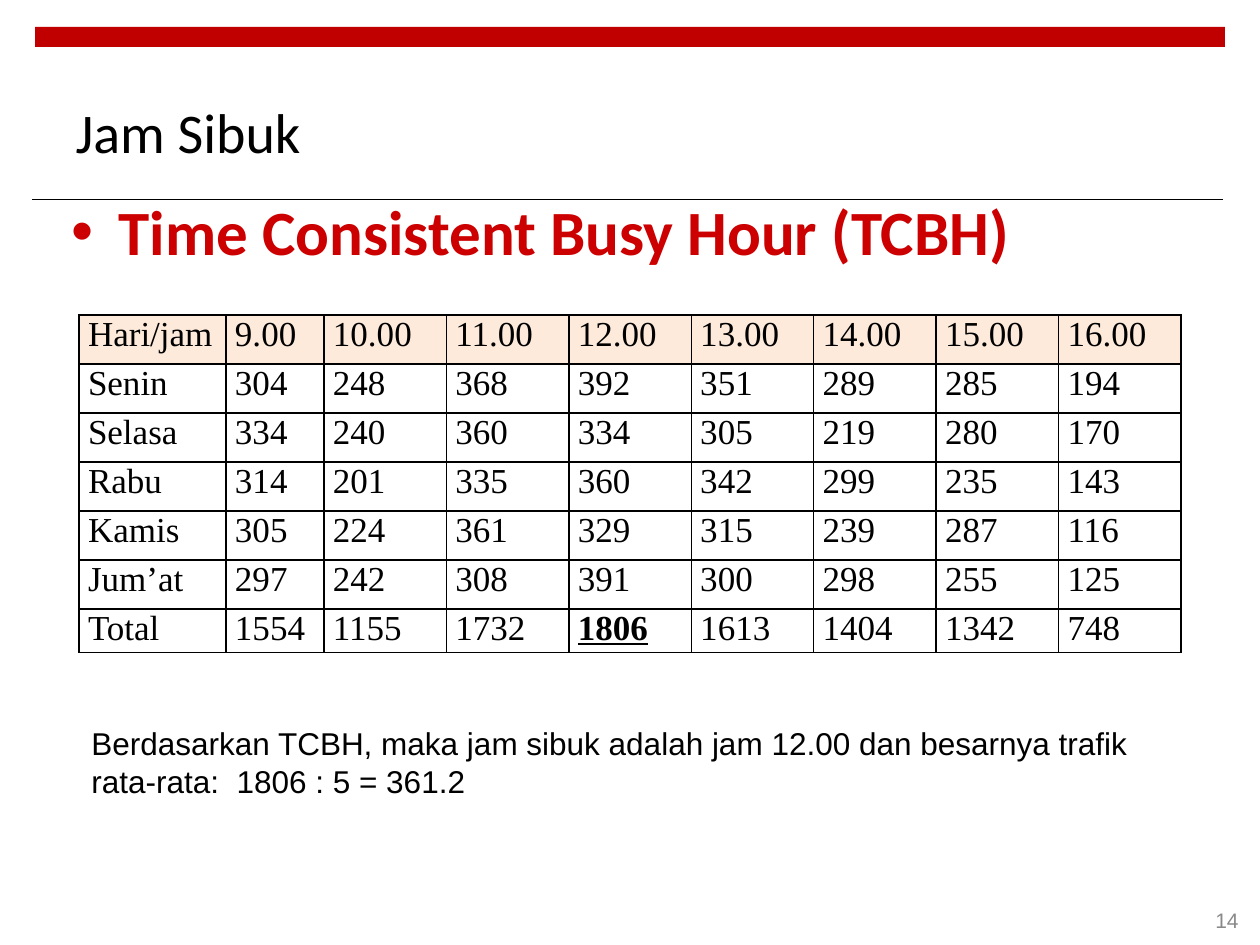
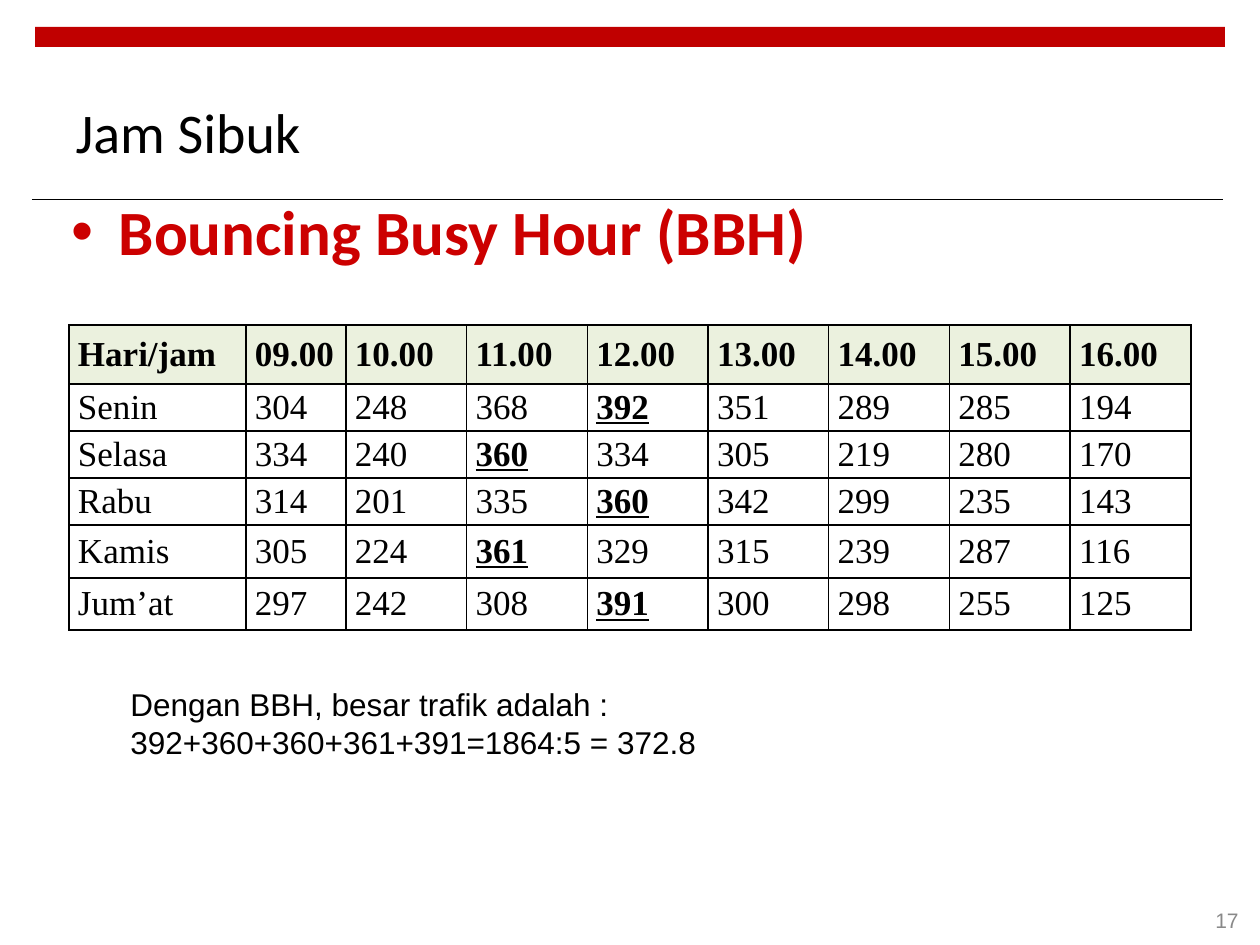
from lxml.etree import SubElement
from pptx import Presentation
from pptx.dml.color import RGBColor
from pptx.enum.shapes import MSO_CONNECTOR as Link, MSO_SHAPE as Form
from pptx.enum.text import MSO_ANCHOR as Anchor, MSO_AUTO_SIZE as Fit, PP_ALIGN as Align
from pptx.oxml.ns import qn
from pptx.util import Pt

PX = 914400 / 126
BLACK = RGBColor(0, 0, 0)
BAND = RGBColor(0xC0, 0, 0)
RED = RGBColor(0xCC, 0, 0)
GREY = RGBColor(0x89, 0x89, 0x89)
PEACH = RGBColor(0xFD, 0xEA, 0xDA)
GREEN = RGBColor(0xEB, 0xF1, 0xDE)

HOURS = ["10.00", "11.00", "12.00", "13.00", "14.00", "15.00", "16.00"]
DAYS = [
    ("Senin", 304, 248, 368, 392, 351, 289, 285, 194),
    ("Selasa", 334, 240, 360, 334, 305, 219, 280, 170),
    ("Rabu", 314, 201, 335, 360, 342, 299, 235, 143),
    ("Kamis", 305, 224, 361, 329, 315, 239, 287, 116),
    ("Jum’at", 297, 242, 308, 391, 300, 298, 255, 125),
]
TOTAL = ("Total", 1554, 1155, 1732, 1806, 1613, 1404, 1342, 748)

# "peaks" lists the rows whose largest value is stressed
SLIDES = [
    dict(
        head="Time Consistent Busy Hour (TCBH)", num=14,
        rows=[("Hari/jam", "9.00", *HOURS), *DAYS, TOTAL], peaks=[6],
        at=(79, 315), width=1102, first=(147, 98), highs=[49] * 6 + [44],
        tint=PEACH, bold=False, anchor=Anchor.TOP,
        note=["Berdasarkan TCBH, maka jam sibuk adalah jam 12.00 dan "
              "besarnya trafik rata-rata:  1806 : 5 = 361.2"],
        note_box=(79, 718, 1102, 89),
    ),
    dict(
        head="Bouncing Busy Hour (BBH)", num=17,
        rows=[("Hari/jam", "09.00", *HOURS), *DAYS], peaks=[1, 2, 3, 4, 5],
        at=(69, 325), width=1122, first=(177, 100), highs=[59, 47, 47, 47, 53, 52],
        tint=GREEN, bold=True, anchor=Anchor.MIDDLE,
        note=["Dengan BBH, besar trafik adalah :",
              "392+360+360+361+391=1864:5 = 372.8"],
        note_box=(118, 679, 630, 89),
    ),
]


def emu(*nums):
    return [round(n * PX) for n in nums]


def style(par, name, size, color, bold=False, align=Align.LEFT):
    par.alignment = align
    font = par.font
    font.name, font.size, font.bold = name, Pt(size), bold
    font.color.rgb = color


def fill_box(shape, lines, anchor, *look, **more):
    frame = shape.text_frame
    frame.word_wrap = True
    frame.auto_size = Fit.NONE
    frame.vertical_anchor = anchor
    frame.text = "\n".join(lines)
    for par in frame.paragraphs:
        style(par, *look, **more)


def place(shape, *box):
    shape.left, shape.top, shape.width, shape.height = emu(*box)


def add_frame(slide, num):
    """Add the red band, the rule under the title and the page number."""
    band = slide.shapes.add_shape(Form.RECTANGLE, *emu(35, 27, 1190, 20))
    band.shadow.inherit = False
    band.fill.solid()
    band.fill.fore_color.rgb = BAND
    band.line.fill.background()
    rule = slide.shapes.add_connector(Link.STRAIGHT, *emu(32, 200, 1223, 200))
    rule.line.color.rgb = BLACK
    rule.line.width = Pt(0.6)
    SubElement(rule._element.spPr, qn("a:effectLst"))
    page = slide.shapes.add_textbox(*emu(958, 895, 293, 50))
    fill_box(page, [str(num)], Anchor.MIDDLE, "Arial", 12, GREY, align=Align.RIGHT)


def add_heads(slide, head):
    title, body = slide.placeholders
    place(title, 63, 66, 839, 130)
    fill_box(title, ["Jam Sibuk"], Anchor.MIDDLE, "Calibri", 32, BLACK)
    place(body, 59, 186, 1134, 95)
    par = body.text_frame.paragraphs[0]
    props = par._p.get_or_add_pPr()
    hang = emu(48)[0]
    props.set("marL", str(hang))
    props.set("indent", str(-hang))
    SubElement(props, qn("a:buNone"))
    par.space_before = Pt(0)
    fill_box(body, [head], Anchor.TOP, "Calibri", 36, RED, bold=True)


def add_border(cell):
    props = cell._tc.get_or_add_tcPr()
    for side in ("lnL", "lnR", "lnT", "lnB"):
        line = SubElement(props, qn("a:" + side), w=str(Pt(1)))
        paint = SubElement(line, qn("a:solidFill"))
        SubElement(paint, qn("a:srgbClr"), val=str(BLACK))


def add_grid(slide, data):
    rows, highs = data["rows"], data["highs"]
    cols = len(rows[0])
    rest = (data["width"] - sum(data["first"])) / (cols - 2)
    wides = [*data["first"]] + [rest] * (cols - 2)
    box = emu(*data["at"], data["width"], sum(highs))
    table = slide.shapes.add_table(len(rows), cols, *box).table
    table.first_row = table.horz_banding = False
    for col, wide in zip(table.columns, emu(*wides)):
        col.width = wide
    for row, high in zip(table.rows, emu(*highs)):
        row.height = high
    for r, row in enumerate(rows):
        top = max(row[1:]) if r in data["peaks"] else None
        for c, value in enumerate(row):
            cell = table.cell(r, c)
            cell.margin_left, cell.margin_right = emu(9, 9)
            cell.margin_top = cell.margin_bottom = 0
            cell.vertical_anchor = data["anchor"]
            add_border(cell)
            if r == 0:
                cell.fill.solid()
                cell.fill.fore_color.rgb = data["tint"]
            else:
                cell.fill.background()
            cell.text = str(value)
            par = cell.text_frame.paragraphs[0]
            peak = value == top
            bold = peak or (r == 0 and data["bold"])
            style(par, "Times New Roman", 20, BLACK, bold, Align.JUSTIFY)
            par.font.underline = peak


def main():
    deck = Presentation()
    deck.slide_width, deck.slide_height = emu(1260, 945)
    for data in SLIDES:
        slide = deck.slides.add_slide(deck.slide_layouts[1])
        add_frame(slide, data["num"])
        add_heads(slide, data["head"])
        add_grid(slide, data)
        note = slide.shapes.add_textbox(*emu(*data["note_box"]))
        fill_box(note, data["note"], Anchor.TOP, "Arial", 18, BLACK)
    deck.save("out.pptx")


if __name__ == "__main__":
    main()
